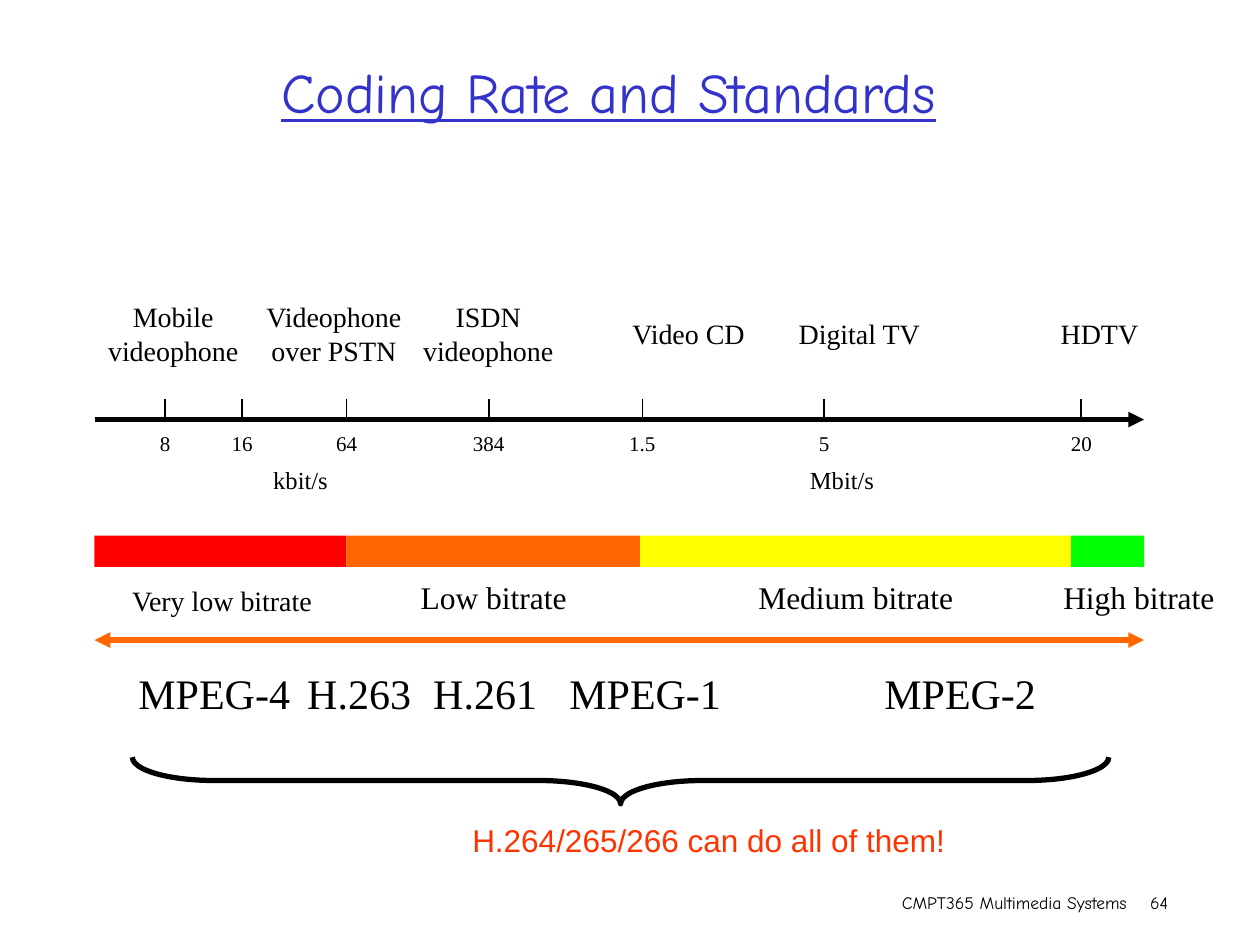
import pptx
import pptx.dml.color
import pptx.enum.shapes
import pptx.enum.text
import pptx.oxml.ns
import pptx.util
from lxml import etree

RGB = pptx.dml.color.RGBColor
BLACK = RGB(0x00, 0x00, 0x00)
BLUE = RGB(0x33, 0x33, 0xCC)
RED = RGB(0xFF, 0x00, 0x00)
ORANGE = RGB(0xFF, 0x66, 0x00)
YELLOW = RGB(0xFF, 0xFF, 0x00)
GREEN = RGB(0x00, 0xFF, 0x00)
SCARLET = RGB(0xFF, 0x33, 0x00)
SERIF, HAND, SANS = "Times New Roman", "Comic Neue", "Arial"
LEFT = pptx.enum.text.PP_ALIGN.LEFT
CENTER = pptx.enum.text.PP_ALIGN.CENTER
SHAPE = pptx.enum.shapes.MSO_SHAPE
LINE = pptx.enum.shapes.MSO_CONNECTOR.STRAIGHT
SLACK = 0.02  # spare width that keeps a label from breaking


def inches(*sizes):
    return [pptx.util.Inches(size) for size in sizes]


def style(para, size, font, color, align):
    para.alignment = align
    para.font.size = pptx.util.Pt(size)
    para.font.name = font
    para.font.color.rgb = color


def add_sub(parent, tag, **attrs):
    return etree.SubElement(parent, pptx.oxml.ns.qn(tag), **attrs)


def add_label(shapes, text, left, top, width, size,
              font=SERIF, color=BLACK, align=LEFT, wrap=False):
    """Add a text box whose height follows from its lines."""
    lines = text.count("\n") + 1
    height = lines * size * 1.2 / 72 + 0.1
    box = shapes.add_textbox(*inches(left, top, width + SLACK, height))
    frame = box.text_frame
    frame.word_wrap = wrap
    frame.auto_size = pptx.enum.text.MSO_AUTO_SIZE.SHAPE_TO_FIT_TEXT
    para = frame.paragraphs[0]
    para.text = text
    style(para, size, font, color, align)
    return para


def add_line(shapes, start, end, width, color=BLACK, ends=()):
    line = shapes.add_connector(LINE, *inches(*start, *end))
    line.line.color.rgb = color
    line.line.width = pptx.util.Pt(width)
    for tag in ends:
        add_sub(line.line._get_or_add_ln(), tag, type="triangle")
    add_sub(line._element.spPr, "a:effectLst")


def add_title(slide, left, top, width, height):
    title = slide.shapes.title
    title.left, title.top, title.width, title.height = inches(
        left, top, width, height)
    frame = title.text_frame
    frame.text = "Coding Rate and Standards"
    frame.vertical_anchor = pptx.enum.text.MSO_ANCHOR.MIDDLE
    frame.auto_size = pptx.enum.text.MSO_AUTO_SIZE.NONE
    style(frame.paragraphs[0], 32, HAND, BLUE, CENTER)
    frame.paragraphs[0].font.underline = True


def add_footer(shapes, left, top, width):
    para = add_label(shapes, "CMPT365 Multimedia Systems\t64",
                     left, top, width, 10, HAND, wrap=True)
    tabs = etree.Element(pptx.oxml.ns.qn("a:tabLst"))
    add_sub(tabs, "a:tab", pos=str(pptx.util.Inches(1.97)), algn="l")
    para._p.get_or_add_pPr().insert(0, tabs)


def add_scale(shapes, left, top, width):
    """Draw the bit rate axis, with its ticks above and rates below."""
    axis = top + 0.16
    add_line(shapes, (left, axis), (left + width, axis), 3,
             ends=["a:tailEnd"])
    ticks = [("8", 0.56, 0.28), ("16", 1.17, 0.36), ("64", 2, 0.36),
             ("384", 3.13, 0.45), ("1.5", 4.35, 0.41), ("5", 5.79, 0.28),
             ("20", 7.83, 0.36)]
    for rate, shift, wide in ticks:
        mid = left + shift
        add_line(shapes, (mid, top), (mid, axis), 1)
        add_label(shapes, rate, mid - wide / 2, top + 0.2, wide, 12)
    for unit, shift, wide in [("kbit/s", 1.32, 0.63), ("Mbit/s", 5.58, 0.71)]:
        add_label(shapes, unit, left + shift, top + 0.47, wide, 14)


def add_bands(shapes, left, top, height):
    """Draw the coloured bit rate ranges end to end, each named below."""
    bands = [(RED, 2, "Very low bitrate", 0.2, 0.33, 1.65, 16),
             (ORANGE, 2.33, "Low bitrate", 2.49, 0.29, 1.36, 18),
             (YELLOW, 3.42, "Medium bitrate", 5.17, 0.29, 1.75, 18),
             (GREEN, 0.58, "High bitrate", 7.59, 0.29, 1.4, 18)]
    start = left
    for color, span, name, shift, drop, wide, size in bands:
        band = shapes.add_shape(SHAPE.RECTANGLE,
                                *inches(start, top, span, height))
        band.shadow.inherit = False
        band.fill.solid()
        band.fill.fore_color.rgb = color
        band.line.fill.background()
        add_label(shapes, name, left + shift, top + drop, wide, size)
        start += span


def add_uses(shapes, left, top):
    """Name the uses above the axis: pairs of lines, then single lines."""
    pairs = [("Mobile\nvideophone", 0, 1.23),
             ("Videophone\nover PSTN", 1.25, 1.28),
             ("ISDN\nvideophone", 2.5, 1.23)]
    for name, shift, wide in pairs:
        add_label(shapes, name, left + shift, top, wide, 16, align=CENTER)
    singles = [("Video CD", 4.17, 1.1), ("Digital TV", 5.49, 1.16),
               ("HDTV", 7.57, 0.81)]
    for name, shift, wide in singles:
        add_label(shapes, name, left + shift, top + 0.13, wide, 16)


def add_codecs(shapes, left, top, width):
    """Draw the double arrow and the standards under it."""
    add_line(shapes, (left, top), (left + width, top), 3, ORANGE,
             ["a:headEnd", "a:tailEnd"])
    codecs = [("MPEG-4", 0.25, 1.4), ("H.263", 1.59, 1.02),
              ("H.261", 2.59, 1.02), ("MPEG-1", 3.67, 1.4),
              ("MPEG-2", 6.17, 1.4)]
    for name, shift, wide in codecs:
        add_label(shapes, name, left + shift, top + 0.17, wide, 24)


def add_brace(shapes, left, top, width, height):
    """Draw a brace pointing down, a right brace turned by 90 degrees."""
    shift = (width - height) / 2
    brace = shapes.add_shape(
        SHAPE.RIGHT_BRACE, *inches(left + shift, top - shift, height, width))
    brace.rotation = 90
    brace.adjustments[0] = 1.75
    brace.shadow.inherit = False
    brace.fill.background()
    brace.line.color.rgb = BLACK
    brace.line.width = pptx.util.Pt(3)


def main():
    deck = pptx.Presentation()
    deck.slide_width, deck.slide_height = inches(10, 7.5)
    slide = deck.slides.add_slide(deck.slide_layouts[5])
    shapes = slide.shapes
    add_footer(shapes, 7.06, 7.03, 2.79)
    add_title(slide, 0.58, 0.25, 8.5, 0.95)
    add_scale(shapes.add_group_shape().shapes, 0.75, 3.17, 8.33)
    add_bands(shapes.add_group_shape().shapes, 0.75, 4.25, 0.25)
    add_uses(shapes, 0.75, 2.33)
    add_codecs(shapes, 0.75, 5.08, 8.33)
    add_brace(shapes, 1.05, 6.01, 7.75, 0.37)
    add_label(shapes, "H.264/265/266 can do all of them!",
              3.65, 6.47, 3.95, 18, SANS, SCARLET)
    deck.save("out.pptx")


if __name__ == "__main__":
    main()
